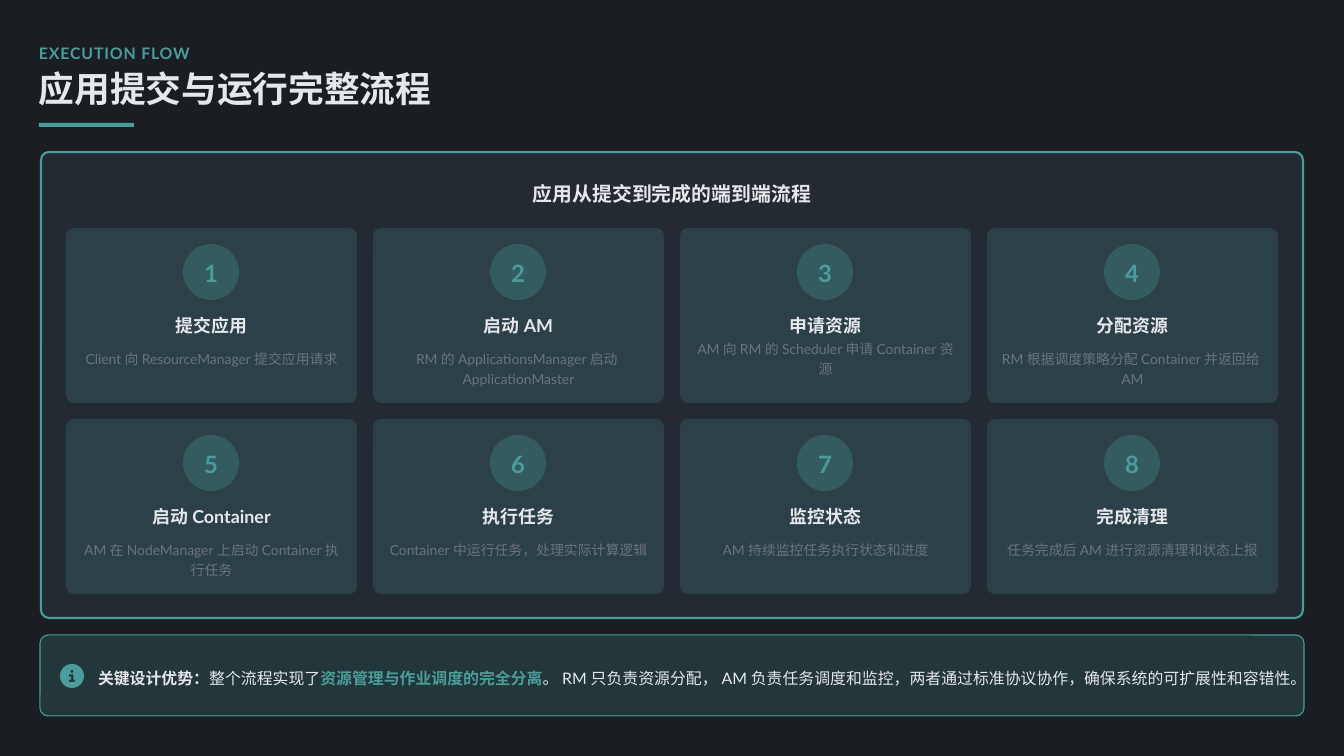
from math import cos, pi, sin

from lxml.etree import SubElement
from pptx import Presentation
from pptx.dml.color import RGBColor
from pptx.enum.shapes import MSO_SHAPE
from pptx.enum.text import MSO_ANCHOR, MSO_AUTO_SIZE, PP_ALIGN
from pptx.oxml.ns import qn
from pptx.util import Pt

PX = 12095  # EMU in one px
FONT = "Lato"
TEAL, LIGHT, GREY = "4A9D9C", "E5E7EB", "6B7280"
SLATE, DARK = "3D4A5C", "1A1D21"
CORNER = 8

STEPS = [
    ("提交应用", "Client向ResourceManager提交应用请求", 1),
    ("启动AM", "RM的ApplicationsManager启动ApplicationMaster", 2),
    ("申请资源", "AM向RM的Scheduler申请Container资源", 1),
    ("分配资源", "RM根据调度策略分配Container并返回给AM", 2),
    ("启动Container", "AM在NodeManager上启动Container执行任务", 2),
    ("执行任务", "Container中运行任务，处理实际计算逻辑", 1),
    ("监控状态", "AM持续监控任务执行状态和进度", 1),
    ("完成清理", "任务完成后AM进行资源清理和状态上报", 1),
]
ADVANTAGE = [
    ("关键设计优势：", LIGHT, True),
    ("整个流程实现了", LIGHT, False),
    ("资源管理与作业调度的完全分离", TEAL, True),
    ("。RM只负责资源分配，AM负责任务调度和监控，"
     "两者通过标准协议协作，确保系统的可扩展性和容错性。", LIGHT, False),
]


def paint(color_format, color):
    color_format.rgb = RGBColor.from_string(color)


def emu(*lengths):
    return [length * PX for length in lengths]


def write(frame, runs, size, spacing, align=PP_ALIGN.LEFT, tracking=None):
    """Fill a text frame with (text, colour, bold) runs."""
    frame.margin_left = frame.margin_right = 0
    frame.margin_top = frame.margin_bottom = 0
    frame.word_wrap = True
    frame.auto_size = MSO_AUTO_SIZE.NONE
    frame.vertical_anchor = MSO_ANCHOR.MIDDLE
    paragraph = frame.paragraphs[0]
    paragraph.alignment = align
    paragraph.line_spacing = spacing
    for text, color, bold in runs:
        run = paragraph.add_run()
        run.text = text
        run.font.name = FONT
        run.font.size = Pt(size)
        run.font.bold = bold
        paint(run.font.color, color)
        if tracking:
            run.font._element.set("spc", str(tracking))


def add_text(slide, box, *args, **options):
    write(slide.shapes.add_textbox(*emu(*box)).text_frame, *args, **options)


def style(shape, color, opacity=100, line_width=0):
    shape.shadow.inherit = False
    shape.fill.solid()
    paint(shape.fill.fore_color, color)
    if opacity < 100:
        fill_color = shape.fill._xPr.find(qn("a:solidFill"))[0]
        SubElement(fill_color, qn("a:alpha"), val=str(opacity * 1000))
    if line_width:
        shape.line.width = Pt(line_width)
        paint(shape.line.color, TEAL)
    else:
        shape.line.fill.background()


def add_box(slide, kind, box, *args):
    shape = slide.shapes.add_shape(kind, *emu(*box))
    if kind == MSO_SHAPE.ROUNDED_RECTANGLE:
        shape.adjustments[0] = CORNER / min(box[2:])
    style(shape, *args)


def circle_points(x, y, radius, count=48):
    angles = [2 * pi * i / count for i in range(count)]
    return [(x + radius * cos(a), y + radius * sin(a)) for a in angles]


def add_header(slide, x, y):
    add_text(slide, (x, y, 1272, 23), [("EXECUTION FLOW", TEAL, True)],
             15.1, 1.3, tracking=80)
    title = slide.shapes.title
    title.left, title.top, title.width, title.height = emu(x, y + 32, 1282, 39)
    write(title.text_frame, [("应用提交与运行完整流程", LIGHT, True)], 34, 0.9)
    add_box(slide, MSO_SHAPE.RECTANGLE, (x, y + 84, 95, 4), TEAL)


def add_step(slide, x, y, width, height, number, name, detail, lines):
    center = PP_ALIGN.CENTER
    badge, inset = 56, 12
    badge_x = x + (width - badge) // 2
    inner = width - 2 * inset
    add_box(slide, MSO_SHAPE.ROUNDED_RECTANGLE, (x, y, width, height), TEAL, 20)
    add_box(slide, MSO_SHAPE.OVAL, (badge_x, y + 16, badge, badge), TEAL, 30)
    add_text(slide, (badge_x, y + 28, badge, 32),
             [(str(number), TEAL, True)], 22.7, 1.1, center)
    add_text(slide, (x + inset, y + 80, inner, 28),
             [(name, LIGHT, True)], 17, 1.3, center)
    add_text(slide, (x + inset, y + 119, inner, 20 * lines),
             [(detail, GREY, False)], 13.2, 1.2, center)


def add_flow(slide, x, y, width, height):
    add_box(slide, MSO_SHAPE.ROUNDED_RECTANGLE, (x, y, width, height),
            SLATE, 30, 2)
    add_text(slide, (x + 20, y + 25, width - 40, 28),
             [("应用从提交到完成的端到端流程", LIGHT, True)],
             18.9, 1.2, PP_ALIGN.CENTER)
    # Four steps to a row
    columns, card_width, card_height, gap = 4, 291, 175, 16
    for index, step in enumerate(STEPS):
        row, column = divmod(index, columns)
        add_step(slide, x + 25 + column * (card_width + gap),
                 y + 76 + row * (card_height + gap),
                 card_width, card_height, index + 1, *step)


def add_info_icon(slide, x, y, size):
    """Disc with the letter i cut out, drawn on a 512-unit grid."""
    disc = circle_points(256, 256, 256)
    dot = circle_points(256, 160, 32)
    stem = [(192, 224), (288, 224), (288, 336), (320, 336), (320, 384),
            (192, 384), (192, 336), (240, 336), (240, 272), (192, 272)]
    builder = slide.shapes.build_freeform(*disc[0], scale=size * PX / 512)
    builder.add_line_segments(disc[1:])
    for hole in (dot, stem):
        builder.move_to(*hole[0])
        builder.add_line_segments(hole[1:])
    style(builder.convert_to_shape(*emu(x, y)), TEAL)


def add_advantage(slide, x, y, width, height):
    add_box(slide, MSO_SHAPE.ROUNDED_RECTANGLE, (x, y, width, height),
            TEAL, 20, 1)
    add_info_icon(slide, x + 20, y + 29, 24)
    add_text(slide, (x + 58, y + 17, width - 66, 47), ADVANTAGE, 15.1, 1.3)


def main():
    deck = Presentation()
    deck.slide_width, deck.slide_height = emu(1344, 756)
    slide = deck.slides.add_slide(deck.slide_layouts[5])
    slide.background.fill.solid()
    paint(slide.background.fill.fore_color, DARK)
    add_header(slide, 39, 39)
    add_flow(slide, 41, 152, 1262, 466)
    add_advantage(slide, 40, 635, 1264, 81)
    deck.save("out.pptx")


if __name__ == "__main__":
    main()
